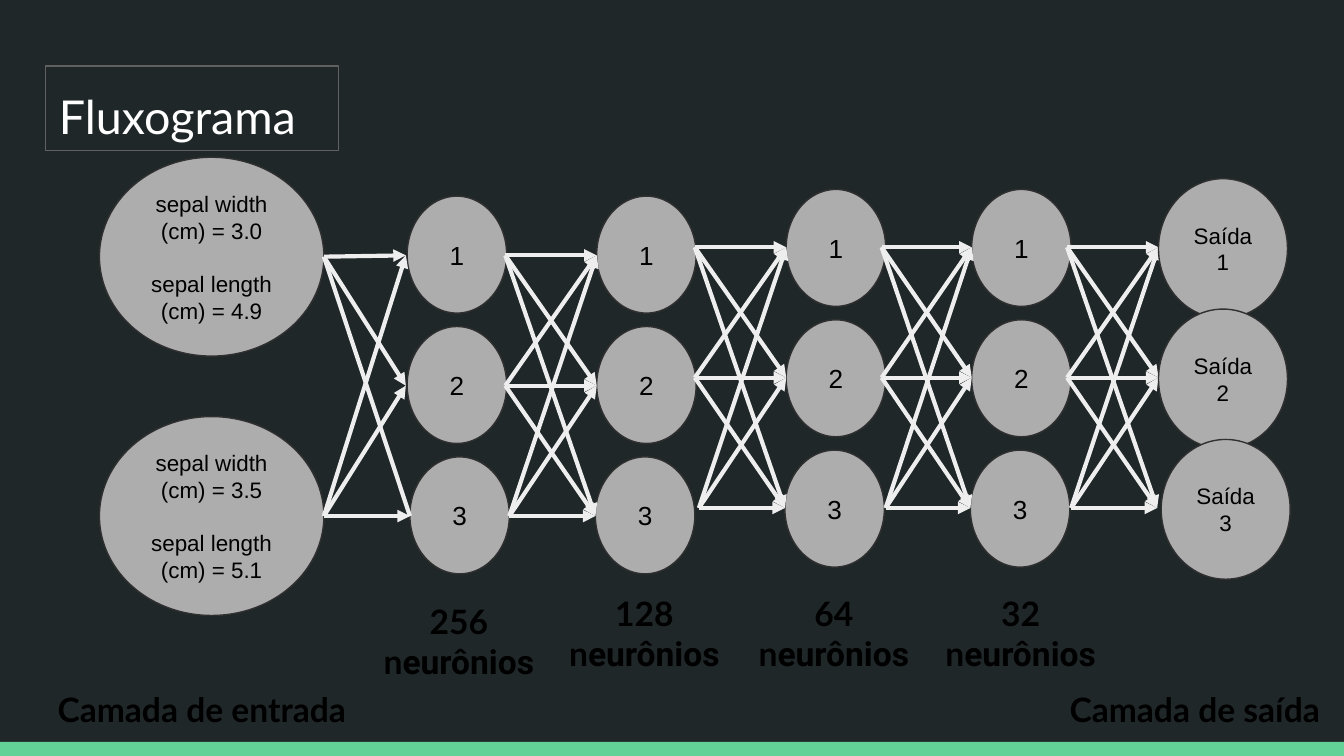
from dataclasses import dataclass
from itertools import product

from lxml import etree
from pptx import Presentation
from pptx.dml.color import RGBColor
from pptx.enum.shapes import MSO_CONNECTOR, MSO_SHAPE
from pptx.enum.text import MSO_ANCHOR, MSO_AUTO_SIZE, PP_ALIGN
from pptx.oxml.ns import qn
from pptx.util import Inches, Pt

SLIDE_WIDTH = 10
SLIDE_HEIGHT = SLIDE_WIDTH * 9 / 16
BACKGROUND, ACCENT = "202729", "63D297"
NODE_FILL, NODE_LINE, ARROW = "ADADAD", "303030", "EEEEEE"
ROW_PITCH = 0.97
INSET = 0.1

Point = tuple[float, float]
Run = tuple[str, str]  # text, font


@dataclass
class Layer:
    """A column of three ellipses, the third slightly shifted sideways."""
    left: float
    top: float
    third_shift: float
    width: float = 0.74
    height: float = 0.87
    prefix: str = ""
    size: int = 14


@dataclass
class Gap:
    """The links between two layers: end points of the first row and shifts of the third."""
    start: float
    end: float
    top: float
    end_shift: float = -0.01
    start_shift: float = 0.03


@dataclass
class Caption:
    left: float
    top: float
    lead: list[str]  # one entry per paragraph; the last one begins the word "neurônios"


HIDDEN_LAYERS = [
    Layer(3.03, 1.46, 0.02),
    Layer(4.44, 1.46, -0.01),
    Layer(5.85, 1.41, -0.01),
    Layer(7.23, 1.41, -0.01),
]
OUTPUT_LAYER = Layer(8.62, 1.33, 0.02, 0.96, 1.04, "Saída ", 12)
INPUT_GAP = Gap(2.41, 3.02, 1.9, end_shift=0.03)
GAPS = [
    Gap(3.76, 4.44, 1.9),
    Gap(5.17, 5.85, 1.84),
    Gap(6.56, 7.23, 1.84),
    Gap(7.94, 8.62, 1.84),
]
INPUTS = [
    (1.17, ["sepal width (cm) = 3.0", "sepal length (cm) = 4.9"]),
    (3.1, ["sepal width (cm) = 3.5", "sepal length (cm) = 5.1"]),
]
CAPTIONS = [
    Caption(2.63, 4.37, ["256 n"]),
    Caption(4.01, 4.31, ["128", "n"]),
    Caption(5.42, 4.31, ["64", "n"]),
    Caption(6.81, 4.31, ["32", "n"]),
]


def color(value: str) -> RGBColor:
    return RGBColor.from_string(value)


def write_text(shape, paragraphs: list[list[Run]], *, size: float, fill: str = "000000",
               bold: bool = False, align=PP_ALIGN.CENTER, anchor=MSO_ANCHOR.TOP,
               gap: float = 0, line_spacing: float = 1.0) -> None:
    frame = shape.text_frame
    frame.word_wrap = True
    frame.vertical_anchor = anchor
    frame.margin_left = frame.margin_right = Inches(INSET)
    frame.margin_top = frame.margin_bottom = Inches(INSET)
    for index, runs in enumerate(paragraphs):
        paragraph = frame.add_paragraph() if index else frame.paragraphs[0]
        paragraph.alignment = align
        paragraph.line_spacing = line_spacing
        if index and gap:
            paragraph.space_before = Pt(gap)
        for text, font_name in runs:
            run = paragraph.add_run()
            run.text = text
            run.font.name = font_name
            run.font.size = Pt(size)
            run.font.bold = bold
            run.font.color.rgb = color(fill)


def add_box(slide, kind, left: float, top: float, width: float, height: float,
            fill: str, line: str | None = None):
    shape = slide.shapes.add_shape(kind, Inches(left), Inches(top), Inches(width), Inches(height))
    shape.shadow.inherit = False
    shape.fill.solid()
    shape.fill.fore_color.rgb = color(fill)
    if line:
        shape.line.color.rgb = color(line)
        shape.line.width = Pt(0.75)
    else:
        shape.line.fill.background()
    return shape


def add_node(slide, left: float, top: float, width: float, height: float,
             lines: list[str], size: int) -> None:
    shape = add_box(slide, MSO_SHAPE.OVAL, left, top, width, height, NODE_FILL, NODE_LINE)
    write_text(shape, [[(line, "Arial")] for line in lines], size=size,
               anchor=MSO_ANCHOR.MIDDLE, gap=14)


def add_layer(slide, layer: Layer) -> None:
    for row in range(3):
        left = layer.left + (layer.third_shift if row == 2 else 0)
        add_node(slide, left, layer.top + row * ROW_PITCH, layer.width, layer.height,
                 [f"{layer.prefix}{row + 1}"], layer.size)


def add_link(slide, start: Point, end: Point, arrowhead: bool = True) -> None:
    connector = slide.shapes.add_connector(
        MSO_CONNECTOR.STRAIGHT, *(Inches(value) for value in start + end))
    connector.line.color.rgb = color(ARROW)
    connector.line.width = Pt(2.25)
    if arrowhead:
        etree.SubElement(connector.line._get_or_add_ln(), qn("a:tailEnd"), type="triangle")
    etree.SubElement(connector._element.spPr, qn("a:effectLst"))


def row_points(left: float, top: float, third_shift: float) -> list[Point]:
    return [(left + (third_shift if row == 2 else 0), top + row * ROW_PITCH) for row in range(3)]


def add_label(slide, left: float, top: float, width: float, height: float,
              paragraphs: list[list[Run]], align) -> None:
    label = slide.shapes.add_textbox(Inches(left), Inches(top), Inches(width), Inches(height))
    write_text(label, paragraphs, size=18, bold=True, align=align)
    label.text_frame.auto_size = MSO_AUTO_SIZE.SHAPE_TO_FIT_TEXT


def main() -> None:
    presentation = Presentation()
    presentation.slide_width = Inches(SLIDE_WIDTH)
    presentation.slide_height = Inches(SLIDE_HEIGHT)
    slide = presentation.slides.add_slide(presentation.slide_layouts[6])
    slide.background.fill.solid()
    slide.background.fill.fore_color.rgb = color(BACKGROUND)

    add_box(slide, MSO_SHAPE.RECTANGLE, 0, 5.52, SLIDE_WIDTH, SLIDE_HEIGHT - 5.52, ACCENT)
    title = add_box(slide, MSO_SHAPE.RECTANGLE, 0.34, 0.49, 2.18, 0.63, BACKGROUND, "616161")
    write_text(title, [[("Fluxograma", "Lato")]], size=25, fill="FFFFFF",
               align=PP_ALIGN.LEFT, line_spacing=1.15)

    for top, lines in INPUTS:
        add_node(slide, 0.74, top, 1.67, 1.48, lines, 12)
    for layer in HIDDEN_LAYERS:
        add_layer(slide, layer)

    input_starts = [(INPUT_GAP.start, 1.91), (INPUT_GAP.start, 3.84)]
    input_ends = row_points(INPUT_GAP.end, INPUT_GAP.top, INPUT_GAP.end_shift)
    for start, end in product(input_starts, input_ends):
        plain = start == input_starts[0] and end == input_ends[2]
        add_link(slide, start, end, arrowhead=not plain)
    for gap in GAPS:
        starts = row_points(gap.start, gap.top, gap.start_shift)
        ends = row_points(gap.end, gap.top, gap.end_shift)
        for start, end in product(starts, ends):
            add_link(slide, start, end)
    add_layer(slide, OUTPUT_LAYER)

    for caption in CAPTIONS:
        paragraphs = [[(text, "Lato")] for text in caption.lead]
        paragraphs[-1].append(("eurônios", "Roboto"))
        add_label(slide, caption.left, caption.top, 1.57, 0.81, paragraphs, PP_ALIGN.CENTER)
    for left, text in [(0.33, "Camada de entrada"), (7.86, "Camada de saída")]:
        add_label(slide, left, 5.03, 2.48, 0.5, [[(text, "Lato")]], PP_ALIGN.LEFT)

    presentation.save("out.pptx")


if __name__ == "__main__":
    main()
